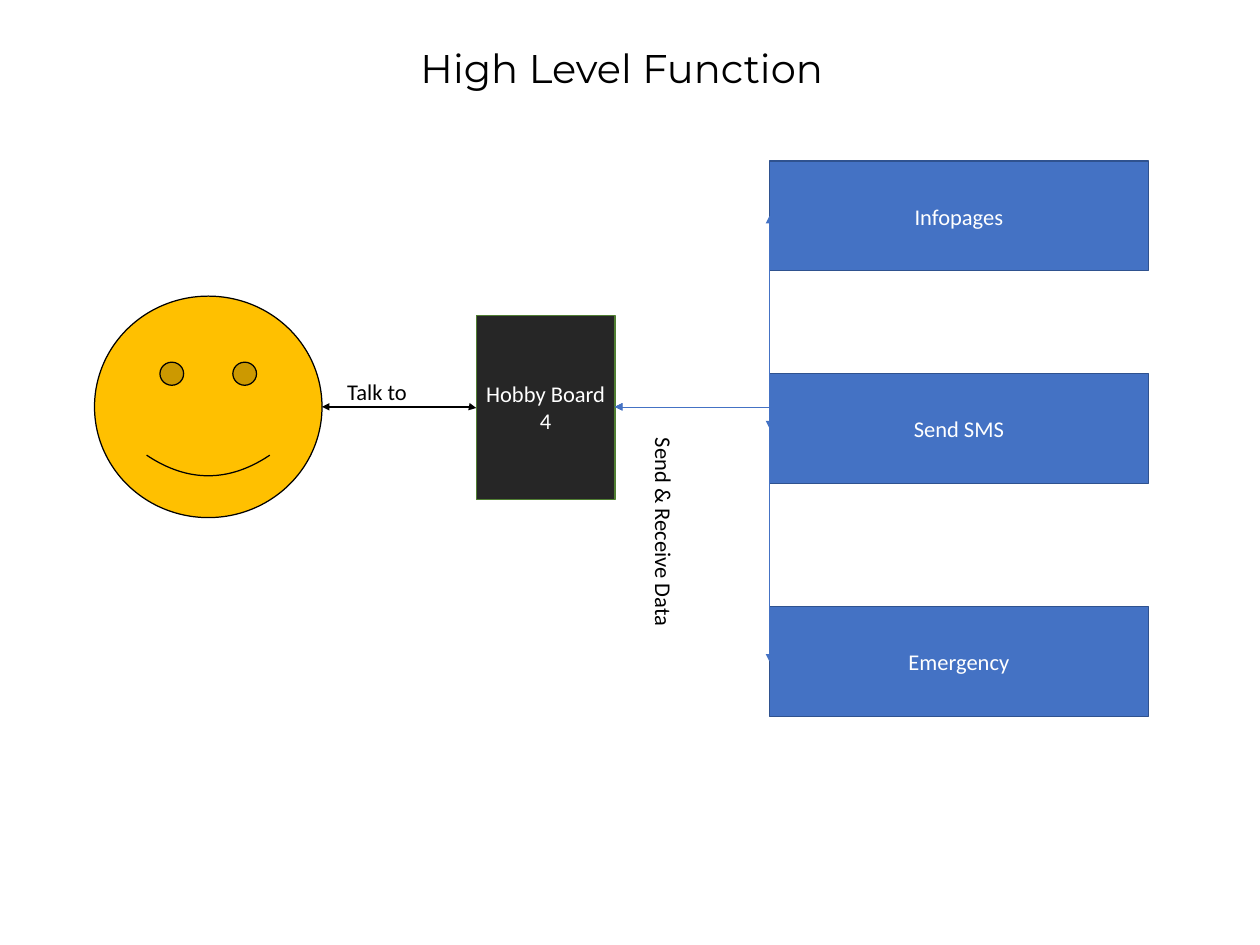
from lxml.etree import SubElement
from pptx import Presentation
from pptx.dml.color import RGBColor
from pptx.enum.shapes import MSO_CONNECTOR as Connector, MSO_SHAPE as Shape
from pptx.enum.text import MSO_ANCHOR as Anchor, PP_ALIGN as Align
from pptx.oxml.ns import qn
from pptx.util import Pt

COLORS = {
    "black": "000000",
    "white": "FFFFFF",
    "face": "FFC000",
    "board": "262626",
    "board_edge": "507E32",
    "service": "4472C4",
    "service_edge": "2F528F",
}


def rgb(name):
    return RGBColor.from_string(COLORS[name])


def set_text(shape, text, color, align, size=18, font="Calibri"):
    shape.text_frame.word_wrap = True
    paragraph = shape.text_frame.paragraphs[0]
    paragraph.text = text
    paragraph.alignment = align
    paragraph.font.size = Pt(size)
    paragraph.font.name = font
    paragraph.font.color.rgb = rgb(color)


prs = Presentation()
prs.slide_width, prs.slide_height = Pt(1008), Pt(756)
slide = prs.slides.add_slide(prs.slide_layouts[6])

# Geometry shared by the blocks and the arrows between them
axis_y = 325.5
face_left, face_width, face_height = 75.6, 182, 177.2
board_left, board_width, board_height = 381, 111, 147
service_left, service_width, service_height = 615.6, 303, 87.8
services = [("Infopages", 128.9), ("Send SMS", 298.8), ("Emergency", 485.3)]

# Person, board and services
blocks = [
    (Shape.SMILEY_FACE, "", face_left, axis_y - face_height / 2,
     face_width, face_height, "face", "black"),
    (Shape.RECTANGLE, "Hobby Board 4", board_left, axis_y + 0.5 - board_height / 2,
     board_width, board_height, "board", "board_edge"),
]
for name, top in services:
    blocks.append((Shape.RECTANGLE, name, service_left, top,
                   service_width, service_height, "service", "service_edge"))

for kind, text, left, top, width, height, fill, edge in blocks:
    block = slide.shapes.add_shape(kind, Pt(left), Pt(top), Pt(width), Pt(height))
    block.shadow.inherit = False
    block.fill.solid()
    block.fill.fore_color.rgb = rgb(fill)
    block.line.color.rgb = rgb(edge)
    block.line.width = Pt(1)
    if text:
        block.text_frame.vertical_anchor = Anchor.MIDDLE
        set_text(block, text, "white", Align.CENTER)

# Two-headed arrows that run sideways, then up or down
arrows = [(face_left + face_width, board_left, axis_y + 0.9, "black", 1.5)]
for _, top in services:
    arrows.append((board_left + board_width, service_left,
                   top + service_height / 2, "service", 0.5))

for start_x, end_x, end_y, color, weight in arrows:
    arrow = slide.shapes.add_connector(
        Connector.ELBOW, Pt(start_x), Pt(axis_y), Pt(end_x), Pt(end_y))
    arrow.line.color.rgb = rgb(color)
    arrow.line.width = Pt(weight)
    properties = arrow._element.spPr
    properties.find(qn("a:prstGeom")).set("prst", "bentConnector2")
    for end in ("a:headEnd", "a:tailEnd"):
        SubElement(properties.find(qn("a:ln")), qn(end), type="triangle")
    SubElement(properties, qn("a:effectLst"))

# Title and arrow labels
labels = [
    ("Talk to", 270.7, 298.8, 98, 29, 0, Align.LEFT, 18, "Calibri"),
    ("Send & Receive Data", 441.4, 418.3, 179.3, 29, 90, Align.LEFT, 18, "Calibri"),
    ("High Level Function", 242, 31, 511, 46, 0, Align.CENTER, 32, "Montserrat"),
]
for text, left, top, width, height, turn, align, size, font in labels:
    label = slide.shapes.add_textbox(Pt(left), Pt(top), Pt(width), Pt(height))
    label.rotation = turn
    set_text(label, text, "black", align, size, font)

prs.save("out.pptx")
